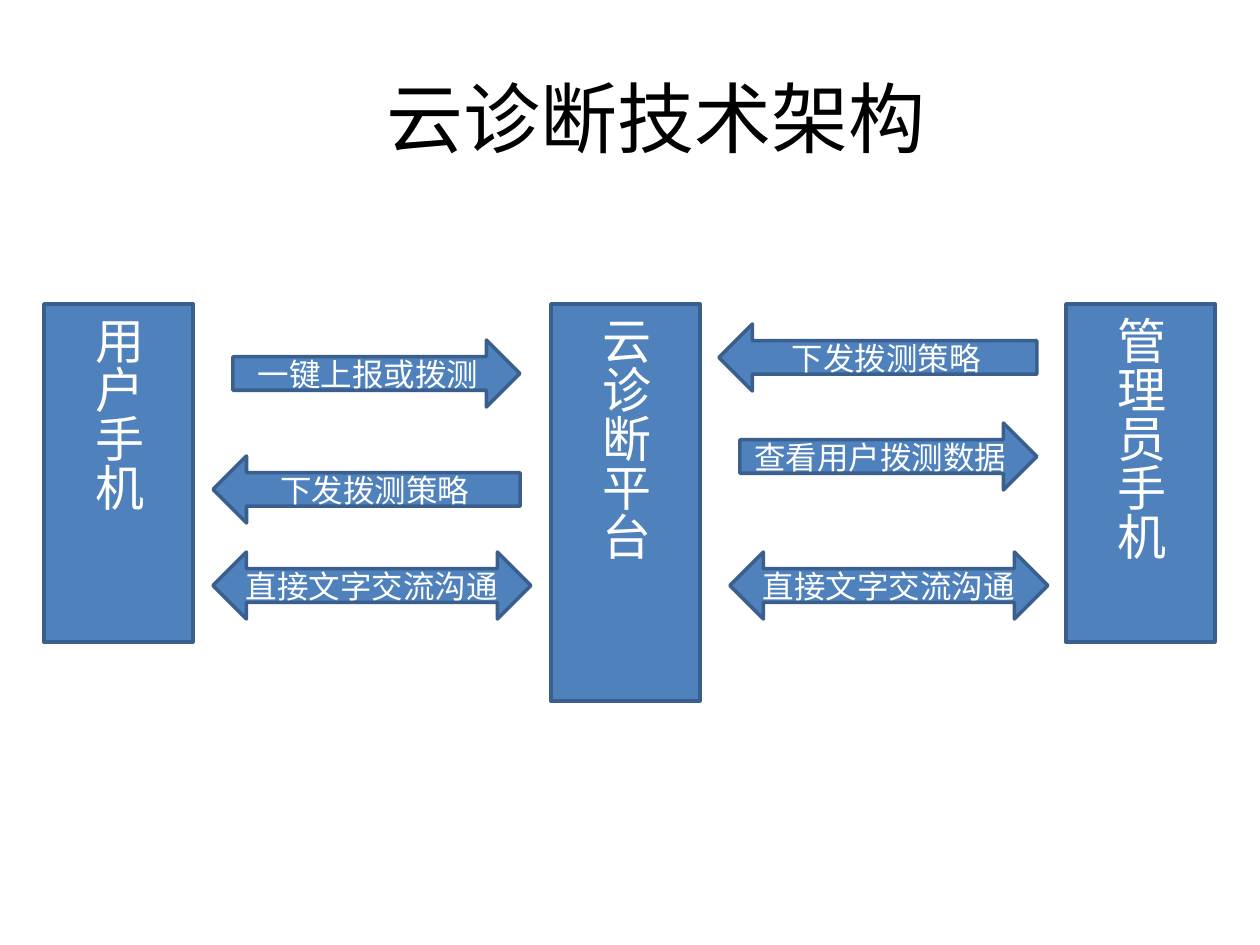
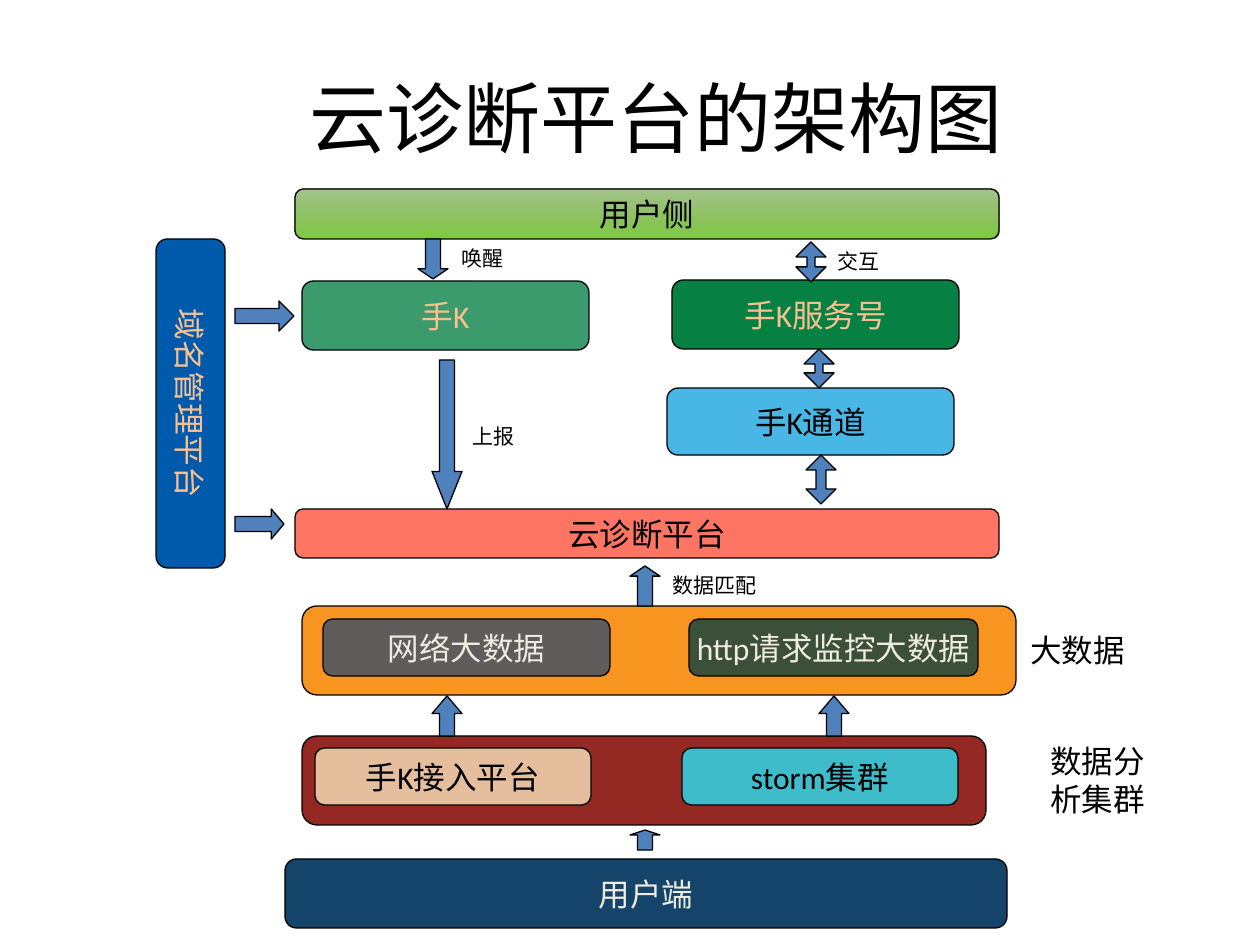
from dataclasses import dataclass

from lxml.etree import SubElement
from pptx import Presentation
from pptx.dml.color import RGBColor
from pptx.enum.shapes import MSO_SHAPE
from pptx.enum.text import MSO_ANCHOR, PP_ALIGN
from pptx.oxml.ns import qn
from pptx.shapes.autoshape import Shape
from pptx.slide import Slide
from pptx.util import Emu, Pt

PIXELS_PER_INCH = 126
FONT = "Calibri"
ARROW_THICKNESS = 30
FLOW_ARROW_HEIGHT = 67
COLORS = {
    "black": "000000",
    "white": "FFFFFF",
    "cream": "EEECE1",
    "peach": "FAC090",
    "blue": "4F81BD",
    "blue_edge": "3A5F8C",
    "olive": "4C8A19",
    "lime": "6BC223",
    "green": "068043",
    "coral": "FF5E48",
    "sky": "24A9E1",
    "orange": "F8931D",
    "gray": "5F5C5B",
    "moss": "3C4F39",
    "maroon": "942923",
    "sand": "E5BE9D",
    "teal": "3EBCCA",
    "navy": "14446A",
    "royal": "005AAB",
}


@dataclass(frozen=True)
class Area:
    left: int
    top: int
    width: int
    height: int


@dataclass(frozen=True)
class Paint:
    color: str
    opacity: int = 100


@dataclass(frozen=True)
class Block:
    area: Area
    text: str
    paints: tuple[Paint, ...]
    text_color: str = "black"
    rotation: int = 0


@dataclass(frozen=True)
class Arrow:
    kind: MSO_SHAPE
    area: Area
    head: float


@dataclass(frozen=True)
class FlowArrow:
    kind: MSO_SHAPE
    left: int
    top: int
    width: int
    text: str


@dataclass(frozen=True)
class Label:
    area: Area
    text: str
    size: int = 12


TITLE_AREA = Area(63, 38, 1134, 157)
TITLE_LEFT_MARGIN = 65

PILLARS = (
    (Area(44, 304, 149, 338), "用户手机"),
    (Area(551, 304, 149, 397), "云诊断平台"),
    (Area(1066, 304, 149, 338), "管理员手机"),
)

FLOW_ARROWS = (
    FlowArrow(MSO_SHAPE.RIGHT_ARROW, 233, 340, 287, "一键上报或拨测"),
    FlowArrow(MSO_SHAPE.RIGHT_ARROW, 740, 423, 297, "查看用户拨测数据"),
    FlowArrow(MSO_SHAPE.LEFT_ARROW, 719, 324, 318, "下发拨测策略"),
    FlowArrow(MSO_SHAPE.LEFT_RIGHT_ARROW, 213, 552, 318, "直接文字交流沟通"),
    FlowArrow(MSO_SHAPE.LEFT_RIGHT_ARROW, 730, 552, 318, "直接文字交流沟通"),
    FlowArrow(MSO_SHAPE.LEFT_ARROW, 213, 456, 307, "下发拨测策略"),
)

BLOCKS = (
    Block(Area(295, 189, 704, 50), "用户侧", (Paint("olive", 49), Paint("lime", 87))),
    Block(Area(302, 281, 287, 69), "手K", (Paint("green", 78),), "peach"),
    Block(Area(672, 280, 287, 69), "手K服务号", (Paint("green"),), "peach"),
    Block(Area(295, 509, 704, 49), "云诊断平台", (Paint("coral", 85),)),
    Block(Area(667, 388, 287, 67), "手K通道", (Paint("sky", 83),)),
    Block(Area(302, 606, 714, 89), "", (Paint("orange", 98),)),
    Block(Area(323, 619, 287, 57), "网络大数据", (Paint("gray"),), "cream"),
    Block(Area(689, 619, 289, 57), "http请求监控大数据", (Paint("moss"),), "cream"),
    Block(Area(302, 736, 684, 89), "", (Paint("maroon"),)),
    Block(Area(315, 748, 276, 57), "手K接入平台", (Paint("sand"),)),
    Block(Area(682, 748, 276, 57), "storm集群", (Paint("teal"),)),
    Block(Area(285, 859, 722, 69), "用户端", (Paint("navy"),), "cream"),
    Block(Area(26, 369, 329, 69), "域名管理平台", (Paint("royal"),), "peach", 90),
)


def vertical_arrow(kind: MSO_SHAPE, left: int, top: int, length: int, head: float) -> Arrow:
    return Arrow(kind, Area(left, top, ARROW_THICKNESS, length), head)


def right_arrow(left: int, top: int, length: int, head: float) -> Arrow:
    return Arrow(MSO_SHAPE.RIGHT_ARROW, Area(left, top, length, ARROW_THICKNESS), head)


ARROWS = (
    vertical_arrow(MSO_SHAPE.DOWN_ARROW, 418, 239, 40, 0.34),
    vertical_arrow(MSO_SHAPE.DOWN_ARROW, 432, 360, 149, 1.25),
    vertical_arrow(MSO_SHAPE.UP_DOWN_ARROW, 796, 242, 40, 0.27),
    vertical_arrow(MSO_SHAPE.UP_DOWN_ARROW, 804, 349, 39, 0.27),
    vertical_arrow(MSO_SHAPE.UP_DOWN_ARROW, 806, 455, 49, 0.33),
    right_arrow(235, 301, 59, 0.5),
    right_arrow(235, 509, 49, 0.42),
    vertical_arrow(MSO_SHAPE.UP_ARROW, 630, 830, 20, 0.25),
    vertical_arrow(MSO_SHAPE.UP_ARROW, 432, 696, 40, 0.59),
    vertical_arrow(MSO_SHAPE.UP_ARROW, 630, 566, 40, 0.34),
    vertical_arrow(MSO_SHAPE.UP_ARROW, 819, 696, 40, 0.59),
)

LABELS = (
    Label(Area(1018, 625, 130, 50), "大数据", 18),
    Label(Area(1038, 736, 150, 88), "数据分析集群", 18),
    Label(Area(449, 239, 89, 38), "唤醒"),
    Label(Area(460, 417, 92, 38), "上报"),
    Label(Area(660, 566, 175, 38), "数据匹配"),
    Label(Area(825, 242, 120, 38), "交互"),
)


def px(value: int) -> Emu:
    return Emu(round(value * 914400 / PIXELS_PER_INCH))


def bounds(area: Area) -> tuple[Emu, Emu, Emu, Emu]:
    return px(area.left), px(area.top), px(area.width), px(area.height)


def rgb(color: str) -> RGBColor:
    return RGBColor.from_string(COLORS[color])


def write(shape: Shape, text: str, size: int, color: str, alignment: PP_ALIGN) -> None:
    paragraph = shape.text_frame.paragraphs[0]
    paragraph.alignment = alignment
    run = paragraph.add_run()
    run.text = text
    run.font.name = FONT
    run.font.size = Pt(size)
    run.font.color.rgb = rgb(color)


def paint_shape(shape: Shape, paints: tuple[Paint, ...]) -> None:
    if len(paints) == 1:
        shape.fill.solid()
        shape.fill.fore_color.rgb = rgb(paints[0].color)
    else:
        shape.fill.gradient()
        shape.fill.gradient_angle = 270
        for stop, paint in zip(shape.fill.gradient_stops, paints):
            stop.color.rgb = rgb(paint.color)
    for element, paint in zip(shape.element.spPr.iter(qn("a:srgbClr")), paints):
        if paint.opacity < 100:
            SubElement(element, qn("a:alpha")).set("val", str(paint.opacity * 1000))


def add_shape(
    slide: Slide, kind: MSO_SHAPE, area: Area, paints: tuple[Paint, ...],
    edge: str = "black", edge_width: float = 0.75,
) -> Shape:
    shape = slide.shapes.add_shape(kind, *bounds(area))
    shape.shadow.inherit = False
    paint_shape(shape, paints)
    shape.line.color.rgb = rgb(edge)
    shape.line.width = Pt(edge_width)
    shape.text_frame.vertical_anchor = MSO_ANCHOR.MIDDLE
    return shape


def add_title(slide: Slide, text: str) -> None:
    title = slide.shapes.add_textbox(*bounds(TITLE_AREA))
    title.text_frame.word_wrap = True
    title.text_frame.margin_left = px(TITLE_LEFT_MARGIN)
    title.text_frame.vertical_anchor = MSO_ANCHOR.MIDDLE
    write(title, text, 44, "black", PP_ALIGN.CENTER)


def add_label(slide: Slide, label: Label) -> None:
    textbox = slide.shapes.add_textbox(*bounds(label.area))
    textbox.text_frame.word_wrap = True
    write(textbox, label.text, label.size, "black", PP_ALIGN.LEFT)


def add_block(slide: Slide, block: Block) -> None:
    shape = add_shape(slide, MSO_SHAPE.FLOWCHART_ALTERNATE_PROCESS, block.area, block.paints)
    shape.rotation = block.rotation
    if block.text:
        shape.text_frame.word_wrap = False
        write(shape, block.text, 18, block.text_color, PP_ALIGN.CENTER)


def add_arrow(slide: Slide, arrow: Arrow) -> None:
    shape = add_shape(slide, arrow.kind, arrow.area, (Paint("blue"),))
    shape.adjustments[0] = 0.5
    shape.adjustments[1] = arrow.head


def add_flow_shape(slide: Slide, kind: MSO_SHAPE, area: Area, text: str, size: int) -> Shape:
    shape = add_shape(slide, kind, area, (Paint("blue"),), "blue_edge", 2)
    write(shape, text, size, "white", PP_ALIGN.CENTER)
    return shape


def build_technology_slide(slide: Slide) -> None:
    add_title(slide, "云诊断技术架构")
    for area, text in PILLARS:
        pillar = add_flow_shape(slide, MSO_SHAPE.RECTANGLE, area, text, 28)
        pillar.element.find(".//" + qn("a:bodyPr")).set("vert", "eaVert")
    for arrow in FLOW_ARROWS:
        area = Area(arrow.left, arrow.top, arrow.width, FLOW_ARROW_HEIGHT)
        add_flow_shape(slide, arrow.kind, area, arrow.text, 18)


def build_platform_slide(slide: Slide) -> None:
    for block in BLOCKS:
        add_block(slide, block)
    for arrow in ARROWS:
        add_arrow(slide, arrow)
    for label in LABELS:
        add_label(slide, label)
    add_title(slide, "云诊断平台的架构图")


def main() -> None:
    presentation = Presentation()
    presentation.slide_width = px(1260)
    presentation.slide_height = px(945)
    for build in (build_technology_slide, build_platform_slide):
        build(presentation.slides.add_slide(presentation.slide_layouts[6]))
    presentation.save("out.pptx")


if __name__ == "__main__":
    main()
